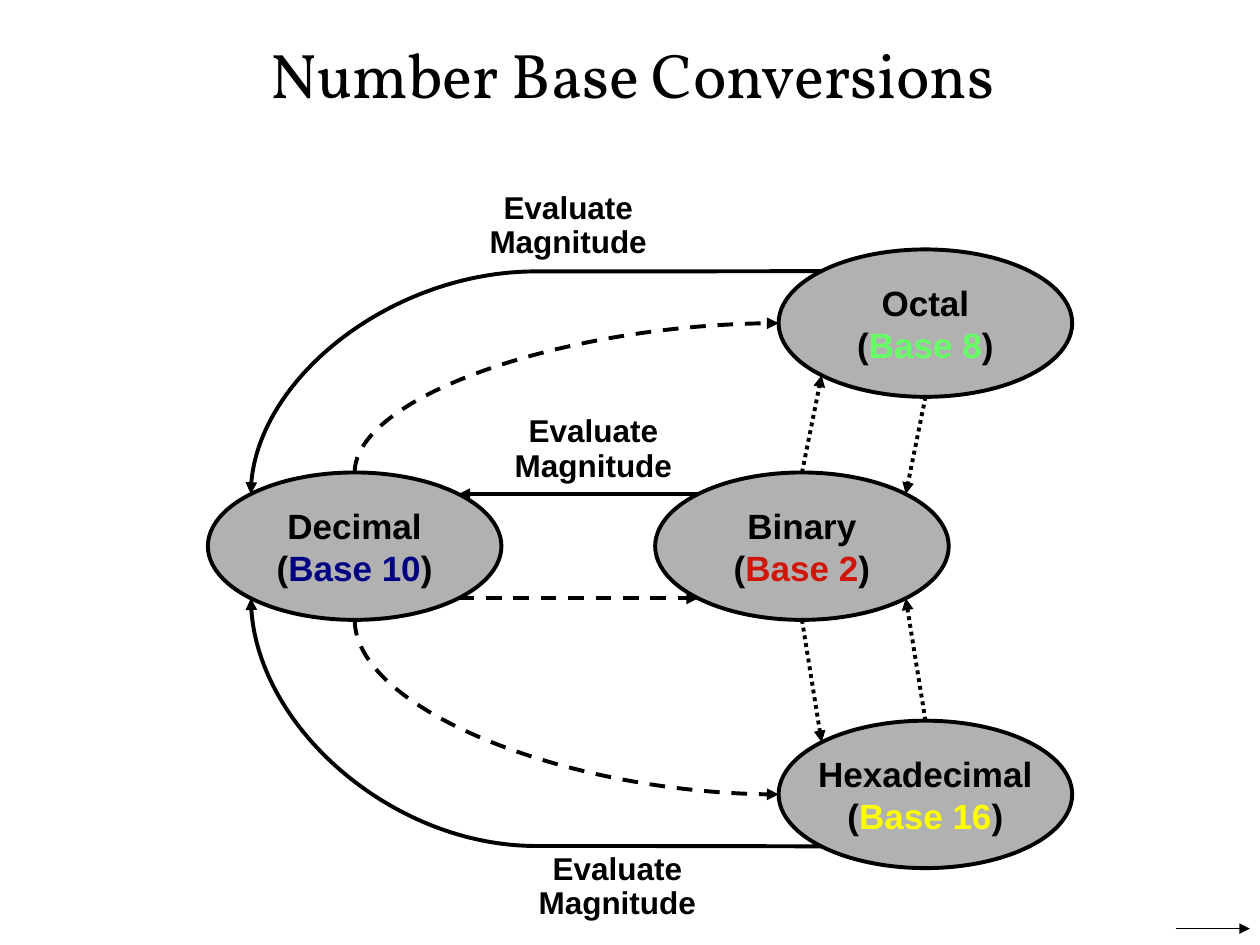
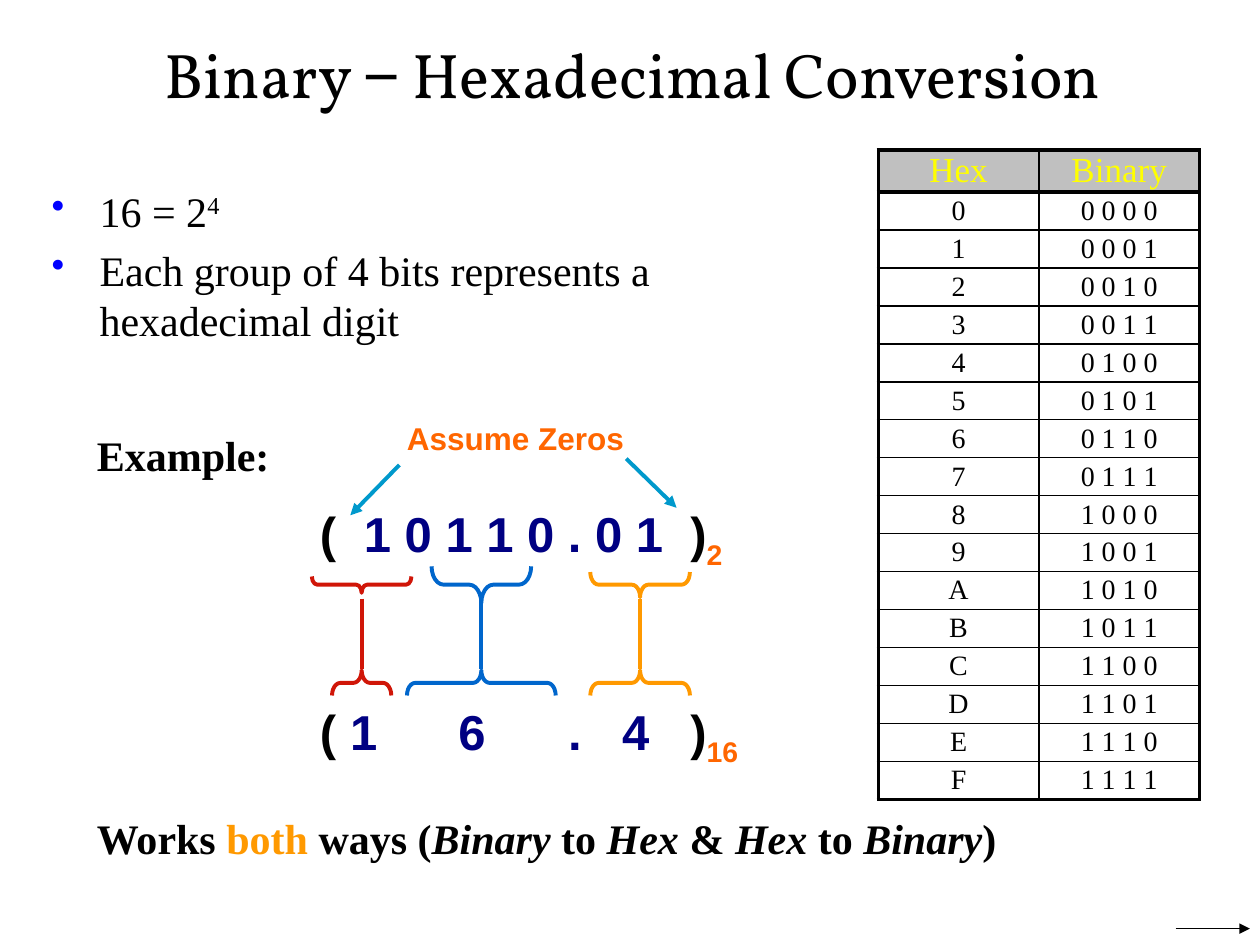
from dataclasses import dataclass
from math import cos, radians, sin

from pptx import Presentation
from pptx.dml.color import RGBColor
from pptx.enum.dml import MSO_LINE
from pptx.enum.shapes import MSO_CONNECTOR as Connector, MSO_SHAPE as Shape
from pptx.enum.text import MSO_ANCHOR as Anchor, PP_ALIGN as Align
from pptx.oxml import parse_xml
from pptx.oxml.ns import nsdecls, qn
from pptx.util import Inches, Pt
from lxml.etree import SubElement


@dataclass(frozen=True)
class Theme:
    black: str = "000000"
    node: str = "B1B1B1"
    header: str = "C0C0C0"
    navy: str = "000082"
    green: str = "66FF66"
    red: str = "D01608"
    yellow: str = "FFFF00"
    blue: str = "0066CC"
    bullet: str = "0000FF"
    cyan: str = "0099CC"
    amber: str = "FF9900"
    orange: str = "FF6600"
    title_font: str = "Vollkorn"
    sans: str = "Arial"
    serif: str = "Times New Roman"
    title: int = 36
    number: int = 28
    body: int = 24
    node_size: int = 20
    label: int = 18
    cell: int = 16
    thick: float = 2.25
    thin: float = 0.75


theme = Theme()


def write(frame, paragraphs, name, size, color=theme.black, bold=False, align=Align.LEFT,
          inset=(0, 0), wrap=True, anchor=Anchor.TOP, extras=()):
    frame.word_wrap = wrap
    frame.vertical_anchor = anchor
    frame.margin_left = frame.margin_right = Inches(inset[0])
    frame.margin_top = frame.margin_bottom = Inches(inset[1])
    for index, runs in enumerate(paragraphs):
        paragraph = frame.add_paragraph() if index else frame.paragraphs[0]
        paragraph.alignment = align
        for xml in extras:
            paragraph._p.get_or_add_pPr().append(parse_xml(xml))
        paragraph.font.name = name
        paragraph.font.size = Pt(size)
        paragraph.font.bold = bold
        paragraph.font.color.rgb = RGBColor.from_string(color)
        for text, style in runs:
            run = paragraph.add_run()
            run.text = text
            if "color" in style:
                run.font.color.rgb = RGBColor.from_string(style["color"])
            if "name" in style:
                run.font.name = style["name"]
            if "italic" in style:
                run.font.italic = True
            if "baseline" in style:
                run._r.get_or_add_rPr().set("baseline", str(style["baseline"] * 1000))


def draw_line(slide, begin, end, color=theme.black, width=theme.thick, dash=None,
              arrow=True, kind=Connector.STRAIGHT):
    connector = slide.shapes.add_connector(kind, *map(Inches, (*begin, *end)))
    connector.line.color.rgb = RGBColor.from_string(color)
    connector.line.width = Pt(width)
    if dash:
        connector.line.dash_style = dash
    if arrow:
        SubElement(connector.line._get_or_add_ln(), qn("a:tailEnd"), type="triangle")
    SubElement(connector._element.spPr, qn("a:effectLst"))
    return connector


presentation = Presentation()
presentation.slide_width, presentation.slide_height = Inches(10), Inches(7.5)

titles = [
    [("Number Base Conversions", {})],
    [("Binary ", {}), ("−", {"name": theme.sans}), (" Hexadecimal Conversion", {})],
]
slides = []
for title in titles:
    slide = presentation.slides.add_slide(presentation.slide_layouts[6])
    box = slide.shapes.add_textbox(*map(Inches, (0.33, 0.25, 9.38, 0.67)))
    write(box.text_frame, [title], theme.title_font, theme.title,
          align=Align.CENTER, anchor=Anchor.MIDDLE)
    draw_line(slide, (9.33, 7.37), (9.92, 7.37), width=theme.thin)
    slides.append(slide)
bases_slide, hex_slide = slides

node_width, node_height = 2.33, 1.17
node_data = [
    ("Decimal", "Base 10", theme.navy, 1.65, 3.75),
    ("Octal", "Base 8", theme.green, 6.18, 1.98),
    ("Binary", "Base 2", theme.red, 5.2, 3.75),
    ("Hexadecimal", "Base 16", theme.yellow, 6.18, 5.72),
]
nodes, sites = {}, {}
for name, base, color, left, top in node_data:
    shape = bases_slide.shapes.add_shape(
        Shape.OVAL, *map(Inches, (left, top, node_width, node_height)))
    shape.shadow.inherit = False
    shape.fill.solid()
    shape.fill.fore_color.rgb = RGBColor.from_string(theme.node)
    shape.line.color.rgb = RGBColor.from_string(theme.black)
    shape.line.width = Pt(theme.thick)
    write(shape.text_frame, [[(name, {})], [("(", {}), (base, {"color": color}), (")", {})]],
          theme.sans, theme.node_size, bold=True, align=Align.CENTER,
          wrap=False, anchor=Anchor.MIDDLE)
    nodes[name] = shape
    for site in range(8):
        angle = radians(45 * site)
        sites[name, site] = (left + node_width / 2 * (1 - sin(angle)),
                             top + node_height / 2 * (1 - cos(angle)))

dash, dots = MSO_LINE.DASH, MSO_LINE.ROUND_DOT
conversions = [
    (("Decimal", 5), ("Binary", 3), dash, None),
    (("Binary", 1), ("Decimal", 7), None, None),
    (("Binary", 0), ("Octal", 3), dots, None),
    (("Octal", 4), ("Binary", 7), dots, None),
    (("Hexadecimal", 0), ("Binary", 5), dots, None),
    (("Binary", 4), ("Hexadecimal", 1), dots, None),
    (("Octal", 1), ("Decimal", 1), None, "curvedConnector3"),
    (("Decimal", 0), ("Octal", 2), dash, "curvedConnector2"),
    (("Decimal", 4), ("Hexadecimal", 2), dash, "curvedConnector2"),
    (("Hexadecimal", 3), ("Decimal", 3), None, "curvedConnector3"),
]
for source, target, style, curve in conversions:
    begin, end = sites[source], sites[target]
    if curve:
        center_x, center_y = (begin[0] + end[0]) / 2, (begin[1] + end[1]) / 2
        half_x, half_y = (end[0] - begin[0]) / 2, (end[1] - begin[1]) / 2
        connector = draw_line(bases_slide, (center_x + half_y, center_y - half_x),
                              (center_x - half_y, center_y + half_x),
                              dash=style, kind=Connector.CURVE)
        properties = connector._element.spPr
        properties.find(qn("a:xfrm")).set("rot", str(270 * 60000))
        geometry = properties.find(qn("a:prstGeom"))
        geometry.set("prst", curve)
        if curve == "curvedConnector3":
            SubElement(geometry.find(qn("a:avLst")), qn("a:gd"), name="adj1", fmla="val 200")
    else:
        connector = draw_line(bases_slide, begin, end, dash=style)
    links = connector._element.find(qn("p:nvCxnSpPr")).find(qn("p:cNvCxnSpPr"))
    for tag, (name, site) in (("a:stCxn", source), ("a:endCxn", target)):
        SubElement(links, qn(tag), id=str(nodes[name].shape_id), idx=str(site))

for left, top in [(3.82, 1.53), (4.02, 3.3), (4.21, 6.77)]:
    box = bases_slide.shapes.add_textbox(*map(Inches, (left, top, 1.38, 0.54)))
    write(box.text_frame, [[("Evaluate Magnitude", {})]], theme.sans, theme.label,
          bold=True, align=Align.CENTER)
    box.text_frame.paragraphs[0].line_spacing = 0.9

box = hex_slide.shapes.add_textbox(*map(Inches, (0.34, 1.44, 5.91, 2.81)))
bullet_xml = [
    f'<a:buClr {nsdecls("a")}><a:srgbClr val="{theme.bullet}"/></a:buClr>',
    f'<a:buSzPct {nsdecls("a")} val="90000"/>',
    f'<a:buChar {nsdecls("a")} char="•"/>',
]
write(box.text_frame,
      [[("16 = 2", {}), ("4", {"baseline": 30})],
       [("Each group of 4 bits represents a hexadecimal digit", {})]],
      theme.serif, theme.body, inset=(0.07, 0.03), extras=bullet_xml)
for paragraph in box.text_frame.paragraphs:
    paragraph._p.pPr.set("marL", str(Inches(0.38)))
    paragraph._p.pPr.set("indent", str(Inches(-0.38)))
box.text_frame.paragraphs[1].space_before = Pt(5)

rows = [("Hex", "Binary")] + [(f"{n:X}", " ".join(f"{n:04b}")) for n in range(16)]
table = hex_slide.shapes.add_table(
    len(rows), 2, *map(Inches, (6.97, 1.19, 2.55, 5.15))).table
table.first_row = table.horz_banding = False
header_height = 0.33
for row_index, values in enumerate(rows):
    is_header, is_last = row_index == 0, row_index == len(rows) - 1
    table.rows[row_index].height = Inches(
        header_height if is_header else (5.15 - header_height) / 16)
    for column_index, value in enumerate(values):
        cell = table.cell(row_index, column_index)
        write(cell.text_frame, [[(value, {})]], theme.serif,
              theme.node_size if is_header else theme.cell,
              theme.yellow if is_header else theme.black, align=Align.CENTER)
        cell.margin_left = cell.margin_right = cell.margin_top = cell.margin_bottom = 0
        cell.vertical_anchor = Anchor.MIDDLE
        heavy_edges = {
            "L": column_index == 0,
            "R": column_index == 1,
            "T": row_index <= 1,
            "B": is_header or is_last,
        }
        for edge, heavy in heavy_edges.items():
            width = Pt(theme.thick if heavy else 1)
            cell._tc.get_or_add_tcPr().append(parse_xml(
                f'<a:ln{edge} {nsdecls("a")} w="{width}"><a:solidFill>'
                f'<a:srgbClr val="{theme.black}"/></a:solidFill></a:ln{edge}>'))
        if is_header:
            cell.fill.solid()
            cell.fill.fore_color.rgb = RGBColor.from_string(theme.header)
        else:
            cell.fill.background()

italic = {"italic": True}
sentences = [
    (3.36, 1.8, [("Example:", {})]),
    (6.4, 7.88, [("Works ", {}), ("both", {"color": theme.amber}), (" ways (", {}),
                 ("Binary", italic), (" to ", {}), ("Hex", italic), (" & ", {}),
                 ("Hex ", italic), ("to ", {}), ("Binary", italic), (")", {})]),
]
for top, width, runs in sentences:
    box = hex_slide.shapes.add_textbox(*map(Inches, (0.67, top, width, 0.5)))
    write(box.text_frame, [runs], theme.serif, theme.body, bold=True, inset=(0.1, 0.05))

numbers = [
    (3.95, "\t1 0 1 1 0 . 0 1\t", "2", (0.35, 2.94)),
    (5.52, "\t1\t6\t.\t4\t", "16", (0.24, 1.1, 1.97, 2.4, 2.94)),
]
for top, digits, base, stops in numbers:
    box = hex_slide.shapes.add_textbox(*map(Inches, (2.44, top, 4, 0.57)))
    tabs = "".join(f'<a:tab pos="{Inches(stop)}" algn="l"/>' for stop in stops)
    write(box.text_frame,
          [[("(", {}), (digits, {"color": theme.navy}), (")", {}),
            (base, {"color": theme.orange, "baseline": -25})]],
          theme.sans, theme.number, bold=True, inset=(0.1, 0.05),
          extras=[f'<a:tabLst {nsdecls("a")}>{tabs}</a:tabLst>'])

groups = [
    (theme.amber, 5.08, (0.2, 0.79), (0.2, 0.79)),
    (theme.blue, 3.82, (0.29, 0.79), (0.2, 1.18)),
    (theme.red, 2.87, (0.13, 0.79), (0.2, 0.47)),
]
for color, center_x, upper, lower in groups:
    for (depth, span), center_y, rotation in ((upper, 4.64, 270), (lower, 5.42, 90)):
        brace = hex_slide.shapes.add_shape(Shape.LEFT_BRACE, *map(Inches, (
            center_x - depth / 2, center_y - span / 2, depth, span)))
        brace.rotation = rotation
        brace.adjustments[0] = 0.33
        brace.shadow.inherit = False
        brace.fill.background()
        brace.line.color.rgb = RGBColor.from_string(color)
        brace.line.width = Pt(theme.thick)
    draw_line(hex_slide, (center_x, 4.75), (center_x, 5.31), color, arrow=False)

for begin, end in [((3.17, 3.69), (2.78, 4.09)), ((4.97, 3.64), (5.37, 4.03))]:
    draw_line(hex_slide, begin, end, theme.cyan)
box = hex_slide.shapes.add_textbox(*map(Inches, (3.23, 3.36, 1.97, 0.27)))
write(box.text_frame, [[("Assume Zeros", {})]], theme.sans, theme.label, theme.orange, bold=True)
box.text_frame.paragraphs[0].line_spacing = 0.9

presentation.save("out.pptx")
